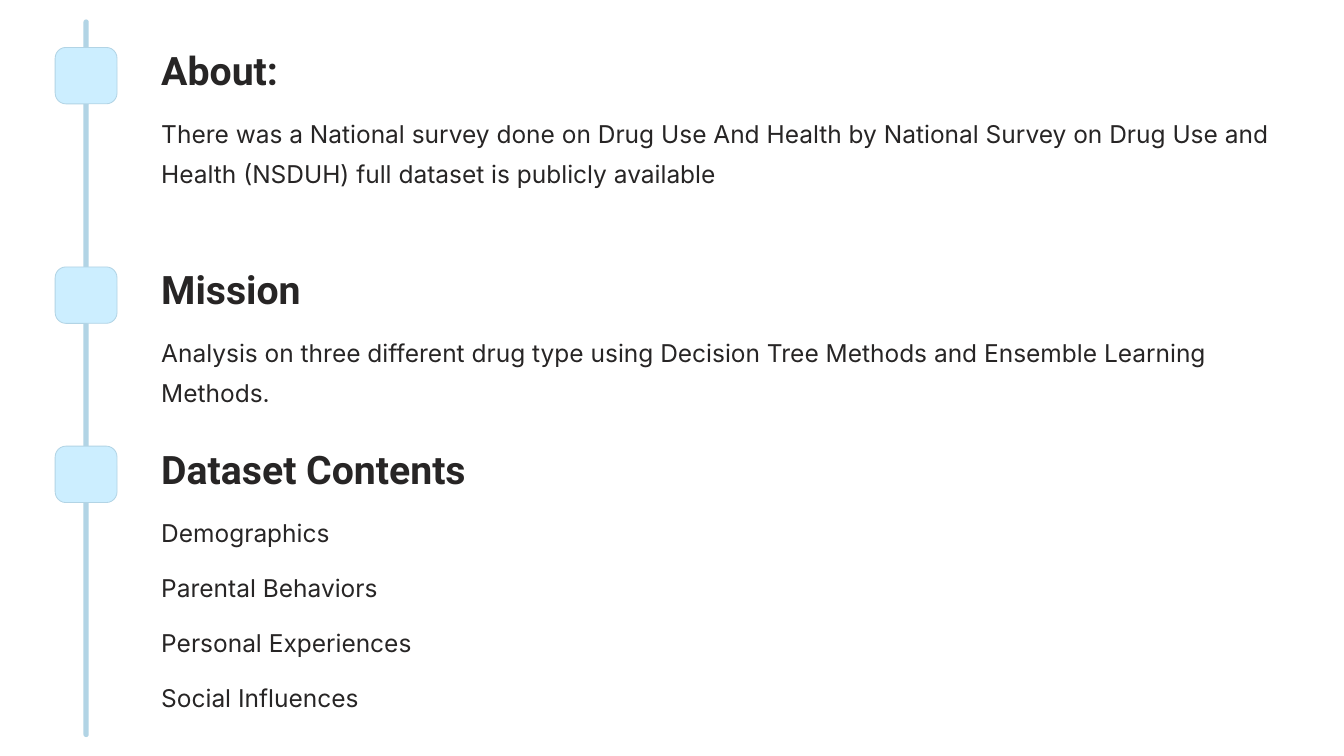
import pptx
import pptx.util
import pptx.dml.color
import pptx.enum.shapes
import pptx.enum.text

Pt = pptx.util.Pt

SECTIONS = [
    {"top": 31.6, "heading": "About:", "height": 57, "wrap": True, "lines": [
        "There was a National survey done on Drug Use And Health by National Survey on "
        "Drug Use and Health (NSDUH) full dataset is publicly available"]},
    {"top": 188.4, "heading": "Mission", "height": 71, "wrap": False, "lines": [
        "Analysis on three different drug type using Decision Tree Methods and "
        "Ensemble Learning Methods."]},
    {"top": 316.4, "heading": "Dataset Contents", "height": 28.5, "wrap": False, "lines": [
        "Demographics", "Parental Behaviors", "Personal Experiences", "Social Influences"]},
]
COLORS = {"timeline": "B2D4E5", "marker": "CCEEFF", "text": "272525"}
HEADING = {"name": "Roboto", "size": 28, "bold": True, "spacing": 35}
BODY = {"name": "Inter", "size": 17.5, "bold": False, "spacing": 28.5}

TEXT_LEFT = 115.2
HEADING_WIDTH, HEADING_HEIGHT = 307.5, 35
BODY_WIDTH = 808
BODY_OFFSET = 45.8
LINE_STEP = 39.4
MARKER_LEFT, MARKER_OFFSET = 39.4, 2.3
MARKER_WIDTH, MARKER_HEIGHT = 44.2, 40.3


def color(name):
    return pptx.dml.color.RGBColor.from_string(COLORS[name])


def add_rounded(slide, left, top, width, height, fill, adjustment):
    shape = slide.shapes.add_shape(
        pptx.enum.shapes.MSO_SHAPE.ROUNDED_RECTANGLE,
        Pt(left), Pt(top), Pt(width), Pt(height))
    shape.adjustments[0] = adjustment
    shape.shadow.inherit = False
    shape.fill.solid()
    shape.fill.fore_color.rgb = color(fill)
    shape.line.fill.background()
    return shape


def add_text(slide, text, top, width, height, style, wrap=False):
    box = slide.shapes.add_textbox(Pt(TEXT_LEFT), Pt(top), Pt(width), Pt(height))
    frame = box.text_frame
    frame.margin_left = frame.margin_right = frame.margin_top = frame.margin_bottom = 0
    frame.word_wrap = wrap
    frame.text = text
    paragraph = frame.paragraphs[0]
    paragraph.alignment = pptx.enum.text.PP_ALIGN.LEFT
    paragraph.line_spacing = Pt(style["spacing"])
    font = paragraph.runs[0].font
    font.name = style["name"]
    font.size = Pt(style["size"])
    font.bold = style["bold"]
    font.color.rgb = color("text")


def main():
    presentation = pptx.Presentation()
    presentation.slide_width = Pt(960)
    presentation.slide_height = Pt(540)
    slide = presentation.slides.add_slide(presentation.slide_layouts[6])

    add_rounded(slide, 59.6, 13.9, 3.8, 512.6, "timeline", 0.5)
    for section in SECTIONS:
        top = section["top"]
        marker = add_rounded(slide, MARKER_LEFT, top + MARKER_OFFSET,
                             MARKER_WIDTH, MARKER_HEIGHT, "marker", 0.19)
        marker.line.color.rgb = color("timeline")
        marker.line.width = Pt(0.6)
        add_text(slide, section["heading"], top, HEADING_WIDTH, HEADING_HEIGHT, HEADING)
        for index, line in enumerate(section["lines"]):
            add_text(slide, line, top + BODY_OFFSET + index * LINE_STEP,
                     BODY_WIDTH, section["height"], BODY, section["wrap"])

    presentation.save("out.pptx")


if __name__ == "__main__":
    main()
